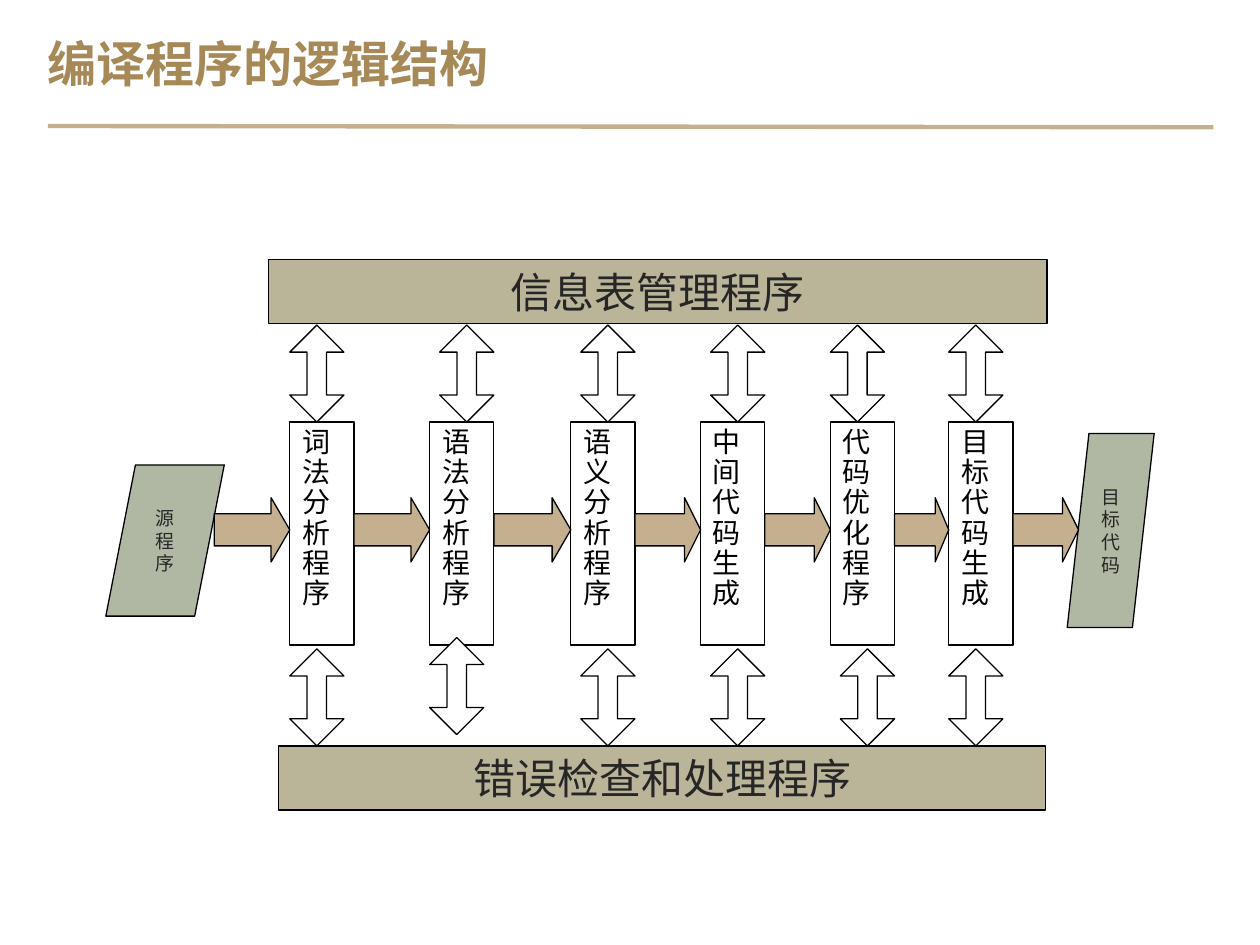
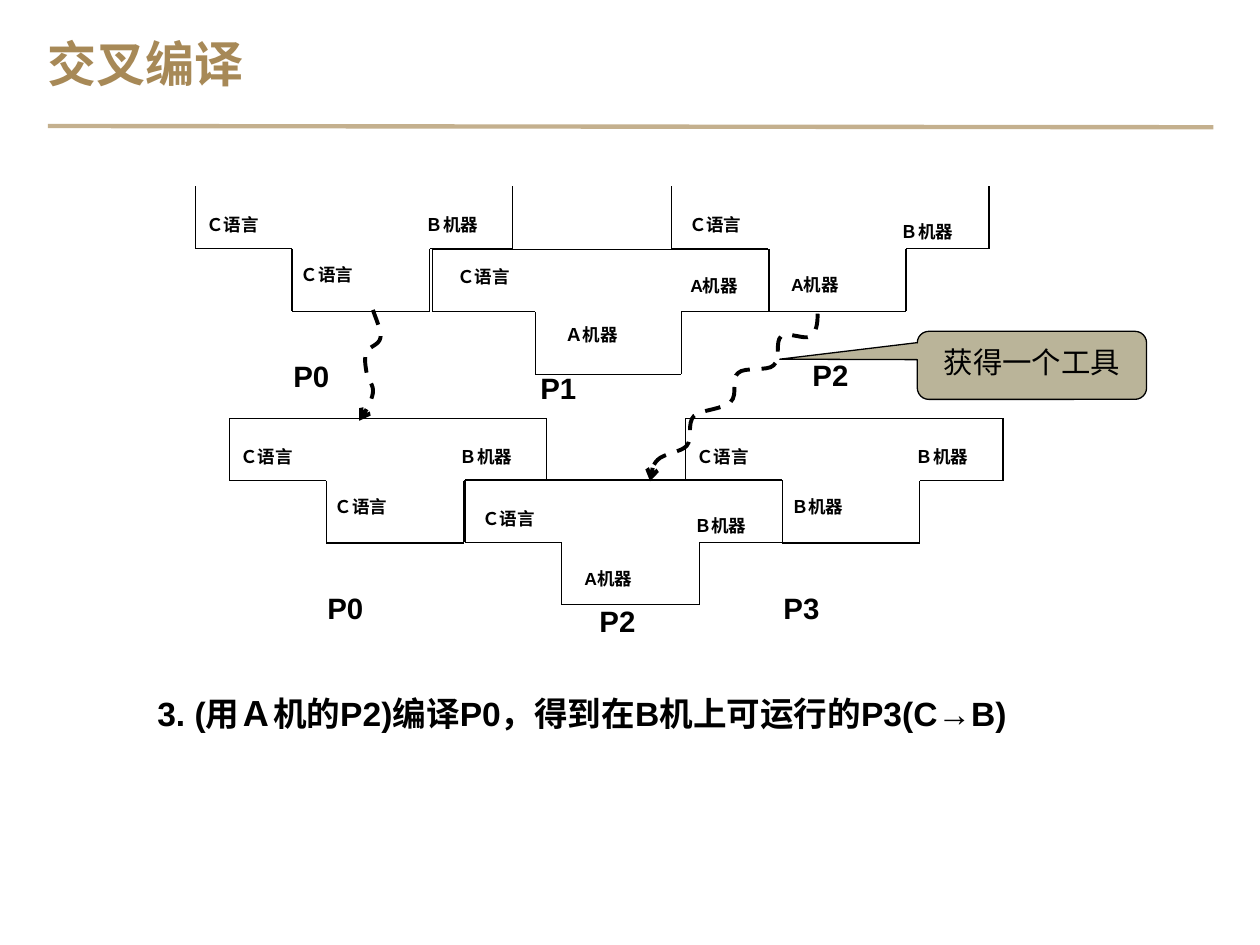
from collections import namedtuple
from dataclasses import dataclass

from lxml import etree
from pptx import Presentation
from pptx.dml.color import RGBColor
from pptx.enum.dml import MSO_LINE
from pptx.enum.shapes import MSO_CONNECTOR, MSO_SHAPE
from pptx.enum.text import MSO_ANCHOR, PP_ALIGN
from pptx.oxml.ns import qn
from pptx.util import Emu, Inches, Pt

CELL = Inches(0.1)  # the slide is a grid of 100 columns by 75 rows


@dataclass(frozen=True)
class Theme:
    font: str = "Arial"
    title: str = "A78957"
    rule: str = "C4B08E"
    bar: str = "BAB499"
    program: str = "B0B8A3"
    ink: str = "000000"
    soft_ink: str = "262626"
    paper: str = "FFFFFF"
    title_size: float = 28
    bar_size: float = 24
    sentence_size: float = 19.2
    name_size: float = 16.8
    phase_size: float = 16
    program_size: float = 10.8
    label_size: float = 10
    outline: float = 0.75
    rule_width: float = 2.5
    dash_width: float = 2.25


THEME = Theme()


class Box(namedtuple("Box", "left top width height")):
    """A rectangle in grid cells."""

    def inner(self, left, top, width, height):
        """Return a rectangle placed relative to this one's corner."""
        return Box(self.left + left, self.top + top, width, height)

    def emu(self):
        return [cells(value) for value in self]


def cells(count):
    return Emu(round(count * CELL))


def color(value):
    return RGBColor.from_string(value)


def write(shape, lines, size, ink=THEME.ink, bold=False, align=PP_ALIGN.LEFT,
          anchor=MSO_ANCHOR.TOP, spacing=None, wrap=True):
    frame = shape.text_frame
    frame.word_wrap = wrap
    frame.vertical_anchor = anchor
    frame.text = lines
    for paragraph in frame.paragraphs:
        paragraph.alignment = align
        paragraph.line_spacing = spacing
        paragraph.font.name = THEME.font
        paragraph.font.size = Pt(size)
        paragraph.font.bold = bold
        paragraph.font.color.rgb = color(ink)


def add_text(slide, box, text, size, **style):
    write(slide.shapes.add_textbox(*box.emu()), text, size, **style)


def outline(shape, width=THEME.outline, ink=THEME.ink):
    shape.line.color.rgb = color(ink)
    shape.line.width = Pt(width)


def add_shape(slide, kind, box, fill=None, adjustments=()):
    shape = slide.shapes.add_shape(kind, *box.emu())
    shape.shadow.inherit = False
    if fill:
        shape.fill.solid()
        shape.fill.fore_color.rgb = color(fill)
    else:
        shape.fill.background()
    outline(shape)
    for index, value in enumerate(adjustments):
        shape.adjustments[index] = value
    return shape


def add_line(slide, start, end, width=THEME.outline, ink=THEME.ink):
    connector = slide.shapes.add_connector(
        MSO_CONNECTOR.STRAIGHT, *map(cells, (*start, *end)))
    outline(connector, width, ink)
    etree.SubElement(connector._element.spPr, qn("a:effectLst"))


def add_titled_slide(presentation, title):
    slide = presentation.slides.add_slide(presentation.slide_layouts[5])
    placeholder = slide.shapes.title
    box = Box(3.8, 2.5, 92.5, 5)
    placeholder.left, placeholder.top, placeholder.width, placeholder.height = box.emu()
    frame = placeholder.text_frame
    frame.margin_left = frame.margin_right = frame.margin_top = frame.margin_bottom = 0
    write(placeholder, title, THEME.title_size, THEME.title, bold=True,
          anchor=MSO_ANCHOR.MIDDLE)
    add_line(slide, (3.8, 10), (96.3, 10.1), THEME.rule_width, THEME.rule)
    return slide


# Logical structure of a compiler

PHASE_WIDTH = 5.1
EXCHANGE_WIDTH = 4.3
PHASES = {
    "词法分析程序": 1.7,
    "语法分析程序": 12.8,
    "语义分析程序": 24,
    "中间代码生成": 34.3,
    "代码优化程序": 44.6,
    "目标代码生成": 54,
}


def add_service_bar(slide, box, text):
    bar = add_shape(slide, MSO_SHAPE.RECTANGLE, box, THEME.bar)
    write(bar, text, THEME.bar_size, THEME.soft_ink, align=PP_ALIGN.CENTER,
          anchor=MSO_ANCHOR.MIDDLE, wrap=False)


def add_program(slide, box, text):
    program = add_shape(slide, MSO_SHAPE.PARALLELOGRAM, box, THEME.program, [0.25])
    write(program, "\n".join(text), THEME.program_size, THEME.soft_ink,
          align=PP_ALIGN.CENTER, anchor=MSO_ANCHOR.MIDDLE, wrap=False)


def add_phases(slide, box):
    for name, left in PHASES.items():
        phase = add_shape(slide, MSO_SHAPE.RECTANGLE,
                          box.inner(left, 0, PHASE_WIDTH, box.height))
        write(phase, name, THEME.phase_size, spacing=0.9)


def add_flow(slide, box, first, last):
    """Fill each gap between neighbouring phases with an arrow."""
    starts = [first] + [left + PHASE_WIDTH for left in PHASES.values()]
    ends = [*PHASES.values(), last]
    for start, end in zip(starts, ends):
        head = 0.29 if end - start > 5.5 else 0.25
        add_shape(slide, MSO_SHAPE.RIGHT_ARROW,
                  box.inner(start, 6, end - start, 5.1), THEME.rule, [0.5, head])


def add_exchanges(slide, box, sides, lifts=(0,) * 6):
    """Add a double arrow per phase, flush with its left (L) or right (R) edge."""
    for left, side, lift in zip(PHASES.values(), sides, lifts):
        shift = PHASE_WIDTH - EXCHANGE_WIDTH if side == "R" else 0
        add_shape(slide, MSO_SHAPE.UP_DOWN_ARROW,
                  box.inner(left + shift, -lift, EXCHANGE_WIDTH, box.height),
                  THEME.paper, [0.5, 0.36])


def build_structure_slide(presentation):
    slide = add_titled_slide(presentation, "编译程序的逻辑结构")
    area = Box(21.3, 20.6, 61.8, 43.7)
    phases = area.inner(0, 12.9, area.width, 17.7)
    add_phases(slide, phases)
    add_service_bar(slide, area.inner(0, 0, area.width, 5.1), "信息表管理程序")
    add_service_bar(slide, area.inner(0.8, 38.6, 60.9, 5.1), "错误检查和处理程序")
    add_program(slide, area.inner(-12.9, 16.3, 9.4, 12), "源程序")
    add_program(slide, area.inner(63.4, 13.8, 6.9, 15.4), "目标代码")
    add_flow(slide, phases, -4.3, 64.3)
    add_exchanges(slide, area.inner(0, 5.2, area.width, 7.7), "LRRRLL")
    add_exchanges(slide, area.inner(0, 30.9, area.width, 7.7), "LLRRRL",
                  (0, 0.9, 0, 0, 0, 0))


# Cross compilation

# Offsets in a T diagram: source, target and host labels, then its name
OUTER = ((-0.1, 1.7), (17.3, 1.7), (7.4, 5.7), (6.8, 12.85))
INNER = ((0.4, 1.7), (17.2, 2.25), (8.5, 6.45), (9.7, 9))
RAISED = (*INNER[:3], (10.2, 12.8))
WIDE = ((1, 0.8), (19.5, 1.5), (9.6, 5.4), (7.6, 8.8))

SOURCE, HOST, TARGET = "Ｃ语言", "A机器", "Ｂ机器"


def add_t_diagram(slide, box, name, labels, offsets, open_top=False):
    """Draw a T whose foot spans fixed shares of the box's width."""
    left, top, width, height = box
    right, middle, bottom = left + width, top + height / 2, top + height
    foot_left, foot_right = left + 0.305 * width, left + 0.738 * width
    corners = [(left, top), (left, middle), (foot_left, middle),
               (foot_left, bottom), (foot_right, bottom), (foot_right, middle),
               (right, middle), (right, top)]
    if not open_top:
        corners.append((left, top))
    for start, end in zip(corners, corners[1:]):
        add_line(slide, start, end)
    for label, offset in zip(labels, offsets):
        add_text(slide, box.inner(*offset, 7.2, 3), label, THEME.label_size, bold=True)
    add_text(slide, box.inner(*offsets[-1], 8, 4.3), name, THEME.name_size,
             bold=True, spacing=1.1)


def curve_points(start, curves, steps=8):
    """Sample a chain of cubic curves, each given as two handles and an end."""
    points = [start]
    for curve in curves:
        knots = (points[-1], *curve)
        for step in range(1, steps + 1):
            t = step / steps
            weights = ((1 - t) ** 3, 3 * t * (1 - t) ** 2, 3 * t * t * (1 - t), t ** 3)
            points.append(tuple(
                sum(weight * knot[axis] for weight, knot in zip(weights, knots))
                for axis in (0, 1)))
    return points


def add_dashed_arrow(slide, left, top, start, curves):
    points = [(cells(left + x), cells(top + y)) for x, y in curve_points(start, curves)]
    builder = slide.shapes.build_freeform(*points[0])
    builder.add_line_segments(points[1:], close=False)
    arrow = builder.convert_to_shape()
    arrow.shadow.inherit = False
    arrow.fill.background()
    outline(arrow, THEME.dash_width)
    arrow.line.dash_style = MSO_LINE.DASH
    line = arrow._element.spPr.find(qn("a:ln"))
    etree.SubElement(line, qn("a:tailEnd"), type="arrow")


def add_callout(slide, box, text):
    callout = add_shape(slide, MSO_SHAPE.ROUNDED_RECTANGULAR_CALLOUT, box,
                        THEME.bar, [-1.1, -0.09, 0.17])
    write(callout, text, THEME.name_size, align=PP_ALIGN.CENTER, spacing=1.1)


def build_cross_compilation_slide(presentation):
    slide = add_titled_slide(presentation, "交叉编译")
    size = (25.2, 9.9)
    add_t_diagram(slide, Box(15.5, 14.8, *size), "P0",
                  (SOURCE, TARGET, SOURCE), OUTER, open_top=True)
    add_t_diagram(slide, Box(34.3, 19.8, 26.8, 9.9), "P1",
                  (SOURCE, HOST, "Ａ机器"), WIDE)
    add_t_diagram(slide, Box(53.3, 14.8, *size), "P2",
                  (SOURCE, TARGET, HOST), RAISED, open_top=True)
    add_callout(slide, Box(72.8, 26.3, 18.2, 5.4), "获得一个工具")
    add_dashed_arrow(slide, 51.6, 24.9, (13.3, 0), [
        ((13.3, 0.8), (13.2, 1.5), (12.7, 1.8)),
        ((12.3, 2.1), (10.9, 1.4), (10.4, 1.8)),
        ((9.9, 2.2), (10.4, 3.6), (9.8, 4.1)),
        ((9.3, 4.6), (7.5, 4.2), (7, 4.7)),
        ((6.4, 5.1), (7, 6.4), (6.4, 7)),
        ((5.8, 7.6), (4.1, 7.6), (3.5, 8.1)),
        ((2.9, 8.7), (3.4, 9.9), (2.9, 10.5)),
        ((2.4, 11), (1.1, 11.1), (0.6, 11.6)),
        ((0.1, 12.1), (0.1, 12.7), (0, 13.3)),
    ])
    add_t_diagram(slide, Box(36.9, 38.1, *size), "P2", (SOURCE, TARGET, HOST), INNER)
    add_t_diagram(slide, Box(18.2, 33.2, *size), "P0", (SOURCE, TARGET, SOURCE), OUTER)
    add_t_diagram(slide, Box(54.4, 33.2, *size), "P3", (SOURCE, TARGET, TARGET), OUTER)
    add_dashed_arrow(slide, 28.5, 24.6, (1.1, 0), [
        ((1.4, 0.9), (1.8, 1.7), (1.7, 2.2)),
        ((1.6, 2.8), (0.8, 2.9), (0.6, 3.3)),
        ((0.4, 3.8), (0.5, 4.4), (0.6, 5)),
        ((0.7, 5.5), (1.2, 6), (1.1, 6.6)),
        ((1, 7.2), (0.5, 8.2), (0, 8.8)),
    ])
    add_text(slide, Box(11.5, 53.9, 77.1, 9.7),
             "3. (用Ａ机的P2)编译P0，得到在B机上可运行的P3(C→B)",
             THEME.sentence_size, bold=True, spacing=1.2)


def main():
    presentation = Presentation()
    presentation.slide_width = cells(100)
    presentation.slide_height = cells(75)
    build_structure_slide(presentation)
    build_cross_compilation_slide(presentation)
    presentation.save("out.pptx")


if __name__ == "__main__":
    main()
